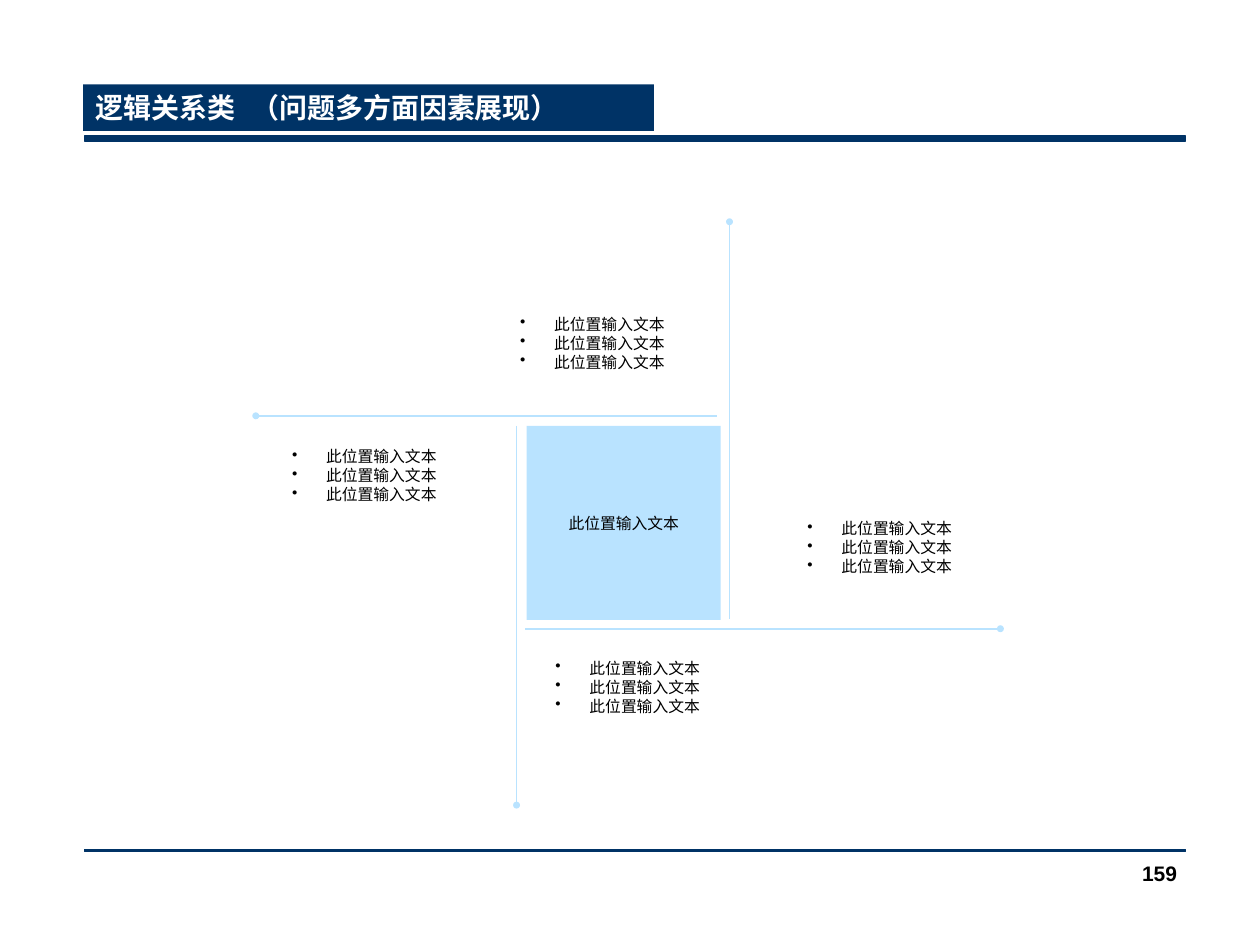
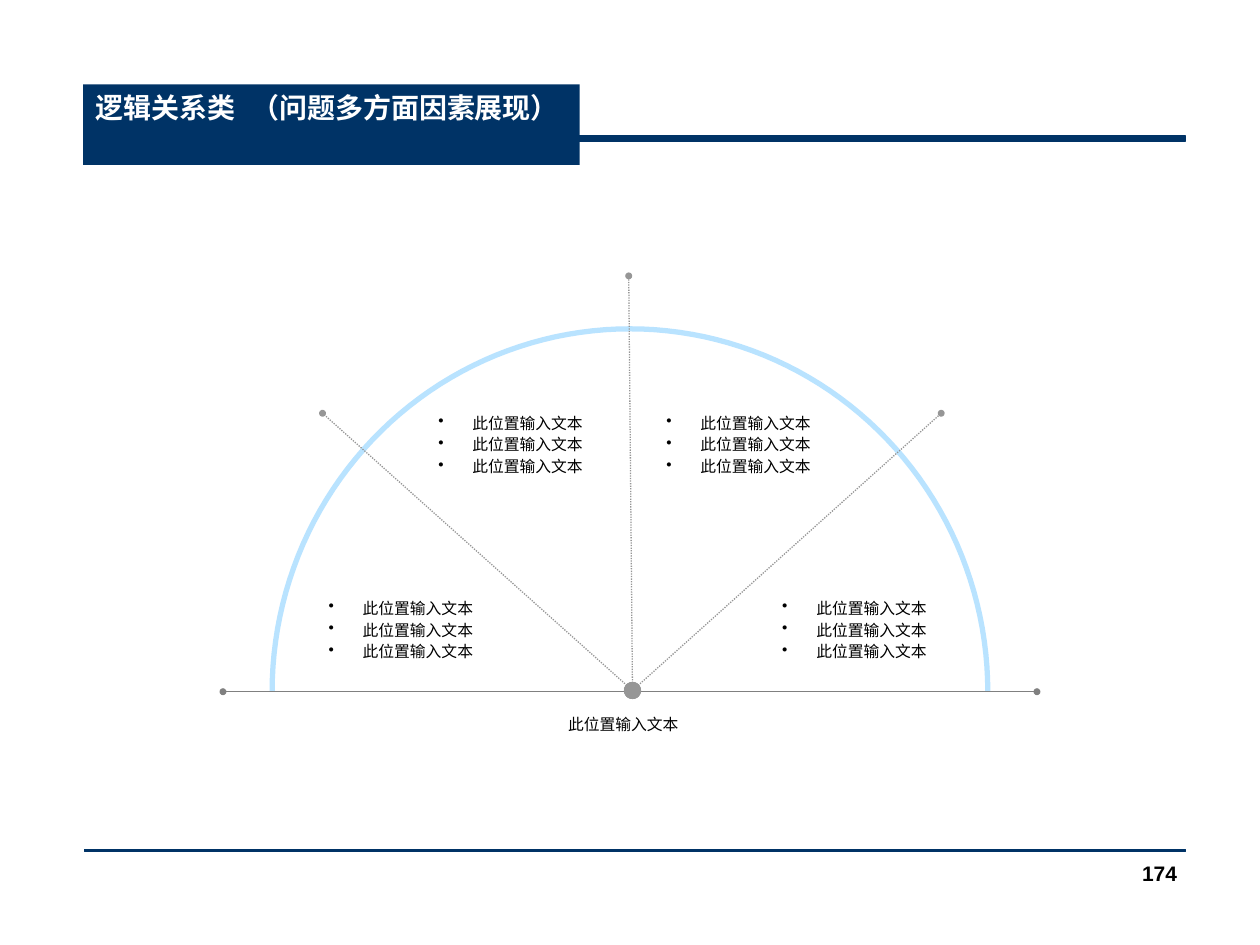
from dataclasses import dataclass
from math import cos, pi, sin

from lxml.etree import SubElement
from pptx import Presentation
from pptx.dml.color import RGBColor
from pptx.enum.dml import MSO_LINE
from pptx.enum.shapes import MSO_CONNECTOR, MSO_SHAPE
from pptx.enum.text import MSO_ANCHOR, PP_ALIGN
from pptx.oxml.ns import qn
from pptx.util import Inches, Pt

NAVY = RGBColor(0x00, 0x33, 0x66)
SKY = RGBColor(0xB9, 0xE3, 0xFF)
GREY = RGBColor(0x80, 0x80, 0x80)
SILVER = RGBColor(0x96, 0x96, 0x96)
BLACK = RGBColor(0x00, 0x00, 0x00)
WHITE = RGBColor(0xFF, 0xFF, 0xFF)
FONT = "Arial"
TITLE = "逻辑关系类\t（问题多方面因素展现）"
PROMPT = "此位置输入文本"
BULLET_INDENT = Inches(0.27)
TITLE_TAB = Inches(1.24)


@dataclass(frozen=True)
class Box:
    x: float
    y: float
    w: float
    h: float

    def emu(self):
        return Inches(self.x), Inches(self.y), Inches(self.w), Inches(self.h)


@dataclass(frozen=True)
class Ray:
    x1: float
    y1: float
    x2: float
    y2: float
    color: RGBColor
    width: float = 0.75
    dotted: bool = False
    head: str = ""
    tail: str = "sm"


BANDS = [Box(0.67, 1.08, 8.74, 0.04), Box(0.67, 6.74, 8.74, 0.02)]
PAGE_NUMBER = Box(7.36, 6.78, 2.08, 0.5)

PINWHEEL_CORE = Box(4.18, 3.38, 1.54, 1.54)
PINWHEEL_RAYS = [
    Ray(4.17, 4.99, 7.94, 4.99, SKY, 1),
    Ray(5.69, 3.3, 2.03, 3.3, SKY, 1),
    Ray(5.79, 4.91, 5.79, 1.76, SKY, 1),
    Ray(4.1, 3.38, 4.1, 6.39, SKY, 1),
]
PINWHEEL_NOTES = [(2.22, 3.5), (6.31, 4.07), (4.03, 2.45), (4.31, 5.18)]

BASE_RAY = Ray(1.77, 5.49, 8.23, 5.49, GREY, head="sm")
FAN_TIPS = [(2.56, 3.28), (4.99, 2.19), (7.47, 3.28)]
FAN_NOTES = [(3.38, 3.21), (5.19, 3.21), (2.51, 4.68), (6.11, 4.68)]


def write(shape, text: str, *, size: float = 9, color: RGBColor = BLACK,
          bold: bool = False, align: PP_ALIGN = PP_ALIGN.LEFT,
          anchor: MSO_ANCHOR = MSO_ANCHOR.TOP, bullet: bool = False,
          spacing: float = 1.0, tab: int = 0) -> None:
    tf = shape.text_frame
    tf.word_wrap = True
    tf.vertical_anchor = anchor
    for i, line in enumerate(text.split("\n")):
        p = tf.paragraphs[0] if i == 0 else tf.add_paragraph()
        p.alignment = align
        p.line_spacing = spacing
        pPr = p._p.get_or_add_pPr()
        if bullet:
            pPr.set("marL", str(BULLET_INDENT))
            pPr.set("indent", str(-BULLET_INDENT))
            SubElement(pPr, qn("a:buChar"), char="•")
        if tab:
            tabs = SubElement(pPr, qn("a:tabLst"))
            SubElement(tabs, qn("a:tab"), pos=str(tab), algn="l")
        r = p.add_run()
        r.text = line
        r.font.name = FONT
        r.font.size = Pt(size)
        r.font.bold = bold
        r.font.color.rgb = color


def add_block(s, box: Box, color: RGBColor, shape: MSO_SHAPE = MSO_SHAPE.RECTANGLE):
    sp = s.shapes.add_shape(shape, *box.emu())
    sp.shadow.inherit = False
    sp.fill.solid()
    sp.fill.fore_color.rgb = color
    sp.line.fill.background()
    return sp


def add_text(s, box: Box, text: str, **fmt) -> None:
    write(s.shapes.add_textbox(*box.emu()), text, **fmt)


def add_notes_list(s, x: float, y: float, w: float, h: float, spacing: float) -> None:
    add_text(s, Box(x, y, w, h), "\n".join([PROMPT] * 3), bullet=True, spacing=spacing)


def add_ray(s, ray: Ray) -> None:
    c = s.shapes.add_connector(MSO_CONNECTOR.STRAIGHT, Inches(ray.x1), Inches(ray.y1),
                               Inches(ray.x2), Inches(ray.y2))
    c.line.color.rgb = ray.color
    c.line.width = Pt(ray.width)
    if ray.dotted:
        c.line.dash_style = MSO_LINE.ROUND_DOT
    ln = c.line._get_or_add_ln()
    for tag, size in (("a:headEnd", ray.head), ("a:tailEnd", ray.tail)):
        if size:
            SubElement(ln, qn(tag), type="oval", w=size, len=size)
    SubElement(c._element.spPr, qn("a:effectLst"))


def add_half_ring(s, cx: float, cy: float, rx: float, ry: float, steps: int = 90) -> None:
    points = [(Inches(cx - rx * cos(pi * i / steps)), Inches(cy - ry * sin(pi * i / steps)))
              for i in range(steps + 1)]
    builder = s.shapes.build_freeform(*points[0])
    builder.add_line_segments(points[1:], close=False)
    sp = builder.convert_to_shape()
    sp.shadow.inherit = False
    sp.fill.background()
    sp.line.color.rgb = SKY
    sp.line.width = Pt(3)


def add_frame(prs, title_w: float, title_h: float, number: int):
    s = prs.slides.add_slide(prs.slide_layouts[6])
    for band in BANDS:
        sp = add_block(s, band, NAVY)
        sp.line.color.rgb = NAVY
        sp.line.width = Pt(0)
    title = add_block(s, Box(0.66, 0.67, title_w, title_h), NAVY)
    write(title, TITLE, size=16, color=WHITE, bold=True, tab=TITLE_TAB)
    add_text(s, PAGE_NUMBER, str(number), size=12, bold=True, align=PP_ALIGN.RIGHT)
    return s


def build_pinwheel(prs) -> None:
    s = add_frame(prs, 4.53, 0.37, 159)
    core = add_block(s, PINWHEEL_CORE, SKY)
    write(core, PROMPT, align=PP_ALIGN.CENTER, anchor=MSO_ANCHOR.MIDDLE)
    for ray in PINWHEEL_RAYS:
        add_ray(s, ray)
    for x, y in PINWHEEL_NOTES:
        add_notes_list(s, x, y, 1.65, 0.7, 1.0)


def build_fan(prs) -> None:
    s = add_frame(prs, 3.94, 0.64, 174)
    add_half_ring(s, 5, 5.49, 2.84, 2.88)
    add_ray(s, BASE_RAY)
    for x, y in FAN_TIPS:
        add_ray(s, Ray(5.02, 5.48, x, y, SILVER, dotted=True, head="lg"))
    add_text(s, Box(4.41, 5.62, 1.38, 0.25), PROMPT)
    for x, y in FAN_NOTES:
        add_notes_list(s, x, y, 1.42, 0.77, 1.15)


def main() -> None:
    prs = Presentation()
    prs.slide_width, prs.slide_height = Inches(10), Inches(7.5)
    build_pinwheel(prs)
    build_fan(prs)
    prs.save("out.pptx")


if __name__ == "__main__":
    main()
